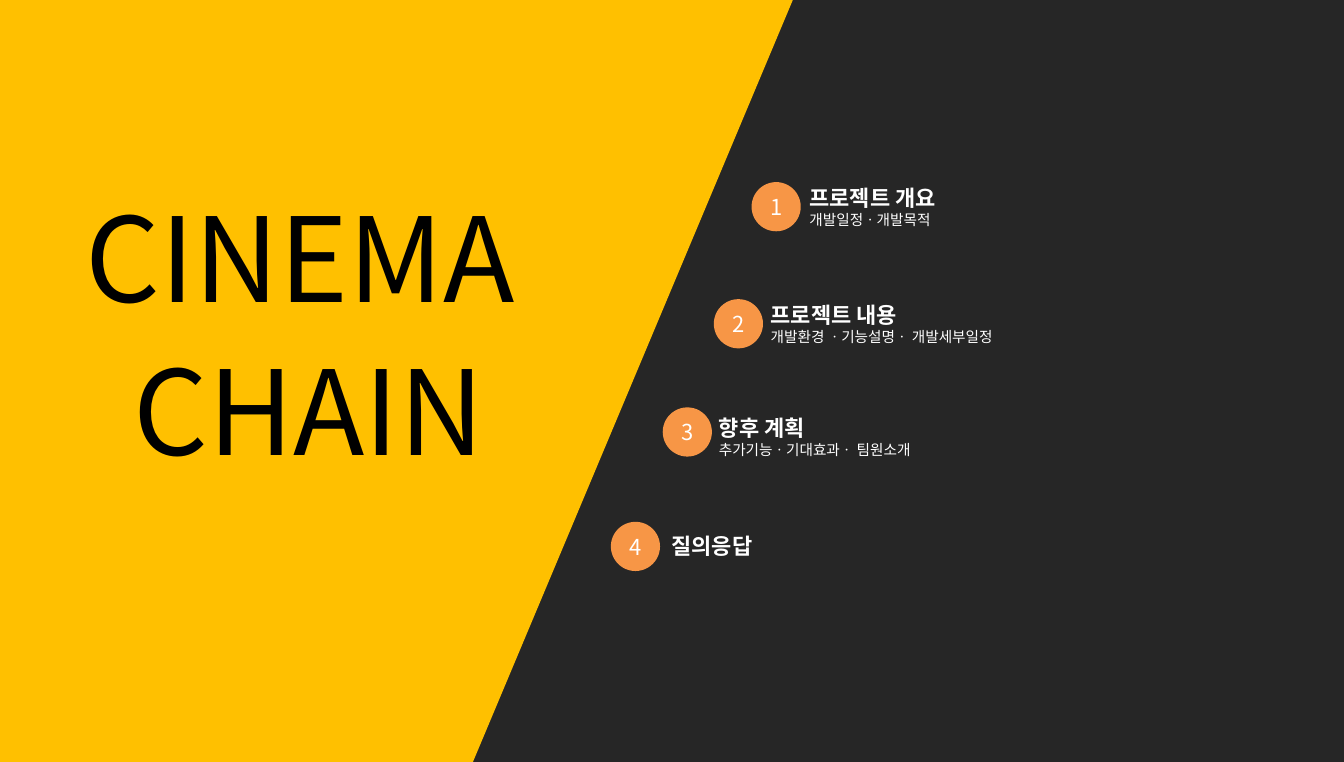
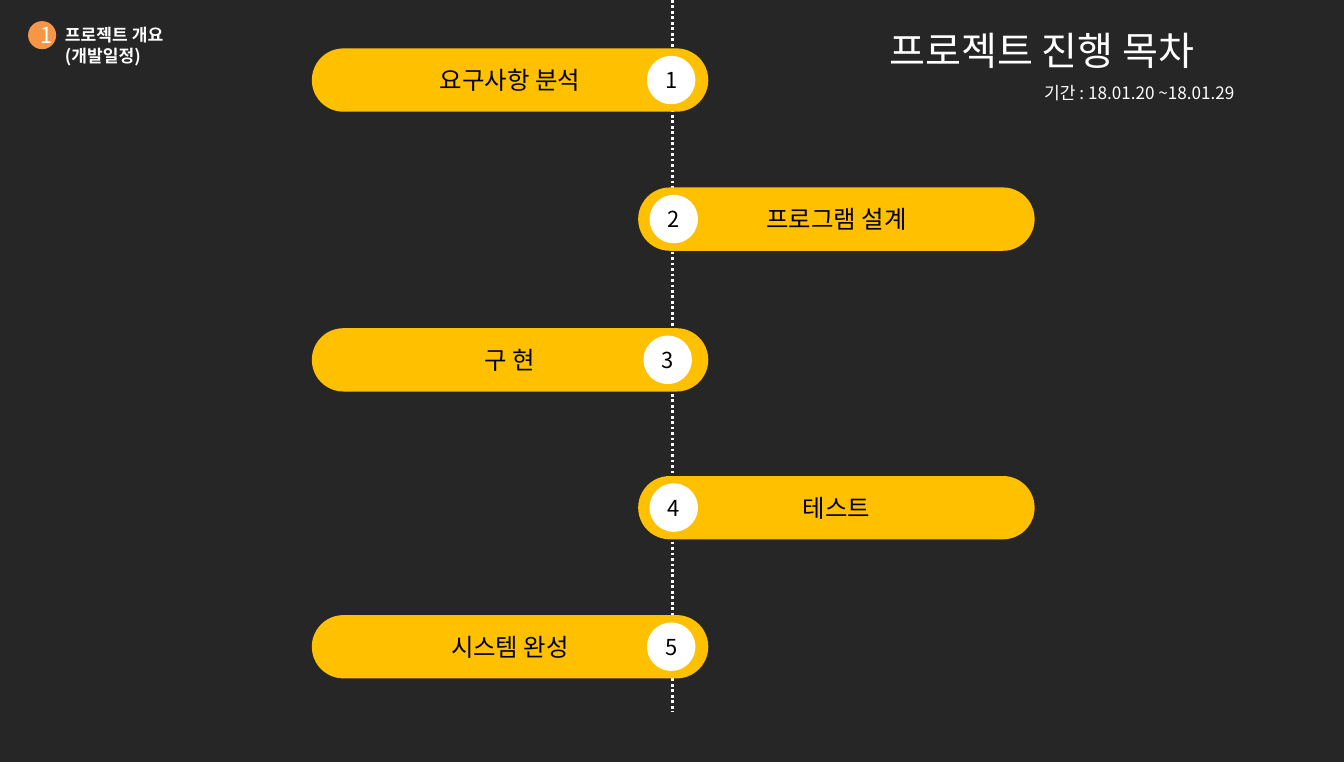
"""Build the agenda and schedule slides of a project deck."""
from typing import NamedTuple

from lxml import etree
from pptx import Presentation
from pptx.dml.color import RGBColor
from pptx.enum.dml import MSO_LINE
from pptx.enum.shapes import MSO_CONNECTOR, MSO_SHAPE
from pptx.enum.text import MSO_ANCHOR, MSO_AUTO_SIZE, PP_ALIGN
from pptx.oxml.ns import qn
from pptx.util import Emu, Pt

LEFT, CENTER = PP_ALIGN.LEFT, PP_ALIGN.CENTER
TOP, MIDDLE = MSO_ANCHOR.TOP, MSO_ANCHOR.MIDDLE
OVAL, PILL = MSO_SHAPE.OVAL, MSO_SHAPE.ROUNDED_RECTANGLE
STRAIGHT, DOTTED = MSO_CONNECTOR.STRAIGHT, MSO_LINE.ROUND_DOT
NO_FIT = MSO_AUTO_SIZE.NONE

DARK, YELLOW, ORANGE = "262626", "FFC000", "F79646"
WHITE, BLACK = "FFFFFF", "000000"
FONT = "Noto Sans CJK KR"
LEADING = 1.2
TITLE_ONLY = 5

W, H = Emu(13981113), Emu(7921625)
COL, ROW = W / 100, H / 100

DISC, BADGE, SECTION_DISC = 3.66, 3.6, 2.09
PILL_W, PILL_H = 29.5, 8.31
PILL_LEFT, PILL_RIGHT = 23.2, 47.48


class Box(NamedTuple):
    """A rectangle in columns and rows of the slide grid."""
    col: float
    row: float
    cols: float
    rows: float


class Line(NamedTuple):
    """One paragraph and its format."""
    text: str
    size: float
    color: str = WHITE
    bold: bool = False


class Agenda(NamedTuple):
    """One agenda entry: disc place, text place and wording."""
    disc_col: float
    disc_row: float
    text_col: float
    text_row: float
    head: str
    detail: str = ""


class Step(NamedTuple):
    """One step of the schedule."""
    row: float
    badge_col: float
    text: str


AGENDA = [
    Agenda(55.92, 23.9, 59.58, 23.67, "프로젝트 개요", "개발일정ㆍ개발목적"),
    Agenda(53.11, 39.26, 56.7, 39.03, "프로젝트 내용", "개발환경 ㆍ기능설명ㆍ 개발세부일정"),
    Agenda(49.31, 53.46, 52.84, 53.81, "향후 계획", "추가기능ㆍ기대효과ㆍ 팀원소개"),
    Agenda(45.45, 68.48, 49.31, 69.28, "질의응답"),
]
STEPS = [
    Step(6.35, 48.14, "요구사항 분석"),
    Step(24.6, 48.33, "프로그램 설계"),
    Step(43.07, 47.88, "구 현"),
    Step(62.47, 48.33, "테스트"),
    Step(80.72, 48.14, "시스템 완성"),
]


def rgb(color: str) -> RGBColor:
    """Turn a hex string into a colour."""
    return RGBColor.from_string(color)


def emu(box: Box) -> tuple[int, int, int, int]:
    """Turn grid units into slide lengths."""
    return (round(box.col * COL), round(box.row * ROW),
            round(box.cols * COL), round(box.rows * ROW))


def square(col: float, row: float, cols: float) -> Box:
    """Give a box as high as it is wide."""
    return Box(col, row, cols, cols * COL / ROW)


def write(sp, lines: list[Line], align=LEFT, anchor=TOP) -> None:
    """Put formatted paragraphs into a shape."""
    tf = sp.text_frame
    tf.word_wrap, tf.auto_size, tf.vertical_anchor = True, NO_FIT, anchor
    for i, line in enumerate(lines):
        p = tf.add_paragraph() if i else tf.paragraphs[0]
        p.text = line.text
        p.alignment, p.line_spacing = align, Pt(line.size * LEADING)
        fmt = {"name": FONT, "size": Pt(line.size), "bold": line.bold}
        for r in p.runs:
            for key, value in fmt.items():
                setattr(r.font, key, value)
            r.font.color.rgb = rgb(line.color)
            ea = etree.SubElement(r._r.get_or_add_rPr(), qn("a:ea"))
            ea.set("typeface", FONT)


def paint(sp, fill: str) -> None:
    """Give a shape a flat fill with no outline or shadow."""
    sp.shadow.inherit = False
    sp.fill.solid()
    sp.fill.fore_color.rgb = rgb(fill)
    sp.line.fill.background()


def add_label(s, kind, box: Box, fill: str, line: Line):
    """Draw a filled shape with centred text."""
    sp = s.shapes.add_shape(kind, *emu(box))
    paint(sp, fill)
    write(sp, [line], CENTER, MIDDLE)
    return sp


def add_text(s, box: Box, lines: list[Line]) -> None:
    """Draw a plain text box."""
    write(s.shapes.add_textbox(*emu(box)), lines)


def add_slide(prs, title: Line, box: Box, align=LEFT, anchor=TOP):
    """Add a slide with its title placed and formatted."""
    s = prs.slides.add_slide(prs.slide_layouts[TITLE_ONLY])
    sp = s.shapes.title
    sp.left, sp.top, sp.width, sp.height = emu(box)
    write(sp, [title], align, anchor)
    return s


def agenda_slide(prs) -> None:
    """Build the cover with the agenda."""
    s = add_slide(prs, Line("CINEMA", 96, BLACK), Box(5.69, 23.79, 38.65, 19.86))
    fb = s.shapes.build_freeform(0, 0)
    corners = [(58.99, 0), (35.19, 100), (0, 100)]
    fb.add_line_segments([(round(c * COL), round(r * ROW)) for c, r in corners])
    panel = fb.convert_to_shape()
    paint(panel, YELLOW)
    s.shapes.title.element.addprevious(panel.element)
    add_text(s, Box(9.29, 43.88, 30.02, 19.86), [Line("CHAIN", 96, BLACK)])
    for n, a in enumerate(AGENDA, 1):
        add_label(s, OVAL, square(a.disc_col, a.disc_row, DISC), ORANGE,
                  Line(str(n), 18))
        lines = [Line(a.head, 18, bold=True)]
        if a.detail:
            lines.append(Line(a.detail, 12))
        add_text(s, Box(a.text_col, a.text_row, 32.44, 2.2 + 2.42 * len(lines)),
                 lines)


def schedule_slide(prs) -> None:
    """Build the schedule with alternating steps."""
    s = add_slide(prs, Line("프로젝트 진행 목차", 32),
                  Box(59.25, 2.77, 36.56, 7.62), CENTER, MIDDLE)
    x = round(50.03 * COL)
    axis = s.shapes.add_connector(STRAIGHT, x, 0, x, round(93.42 * ROW))
    axis.line.color.rgb = rgb(WHITE)
    axis.line.width, axis.line.dash_style = Pt(2.25), DOTTED
    etree.SubElement(axis.element.spPr, qn("a:effectLst"))
    for n, step in enumerate(STEPS, 1):
        col = PILL_LEFT if n % 2 else PILL_RIGHT
        pill = add_label(s, PILL, Box(col, step.row, PILL_W, PILL_H), YELLOW,
                         Line(step.text, 20, BLACK))
        pill.adjustments[0] = 0.5
        badge = square(step.badge_col, step.row, BADGE)
        badge = badge._replace(row=step.row + (PILL_H - badge.rows) / 2)
        add_label(s, OVAL, badge, WHITE, Line(str(n), 18, BLACK))
    add_text(s, Box(77.04, 10.28, 18.84, 3.93),
             [Line("기간 : 18.01.20 ~18.01.29", 14)])
    add_label(s, OVAL, square(2.09, 2.77, SECTION_DISC), ORANGE, Line("1", 18))
    add_text(s, Box(4.19, 2.66, 14.13, 7),
             [Line("프로젝트 개요\v(개발일정)", 14, bold=True)])


def main() -> None:
    """Build and save the deck."""
    prs = Presentation()
    prs.slide_width, prs.slide_height = W, H
    bg = prs.slide_master.background.fill
    bg.solid()
    bg.fore_color.rgb = rgb(DARK)
    agenda_slide(prs)
    schedule_slide(prs)
    prs.save("out.pptx")


if __name__ == "__main__":
    main()
